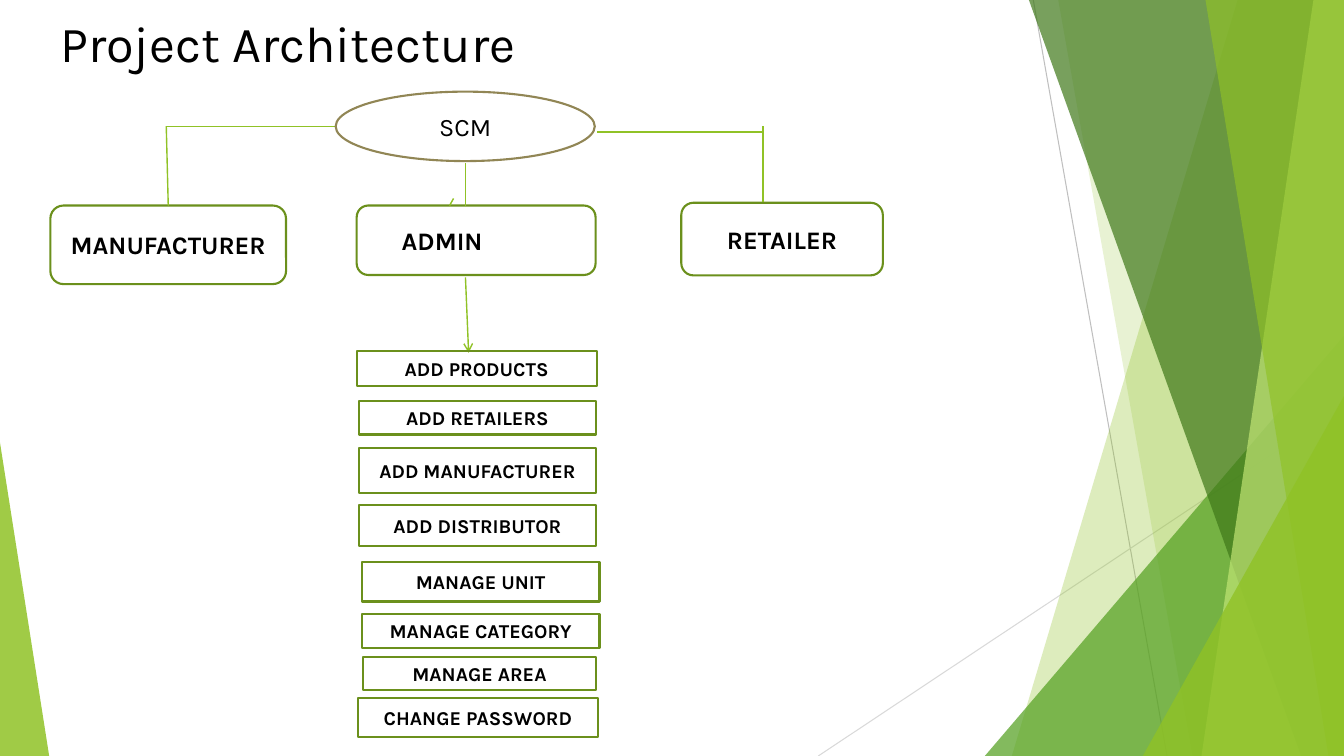
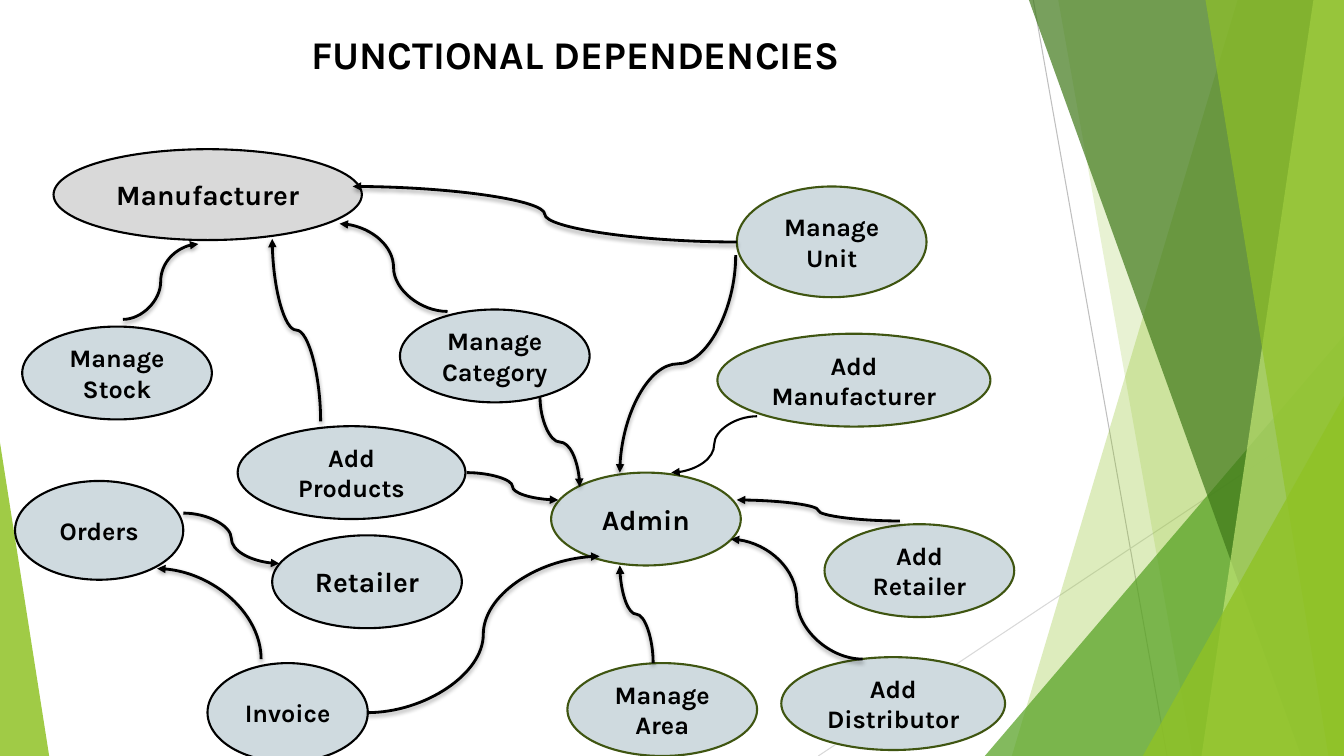
from lxml import etree
from pptx import Presentation
from pptx import util as u
from pptx.dml.color import RGBColor
from pptx.enum import shapes, text
from pptx.oxml.ns import qn

FONT = "Karla"
BLACK = RGBColor(0x00, 0x00, 0x00)
WHITE = RGBColor(0xFF, 0xFF, 0xFF)
GREY = RGBColor(0xD9, 0xD9, 0xD9)
MID_GREY = RGBColor(0xBF, 0xBF, 0xBF)
LIME = RGBColor(0x90, 0xC2, 0x26)
PALE_LIME = RGBColor(0xC0, 0xE4, 0x74)
GREEN = RGBColor(0x54, 0xA0, 0x21)
DARK_GREEN = RGBColor(0x3F, 0x78, 0x19)
OLIVE = RGBColor(0x6B, 0x90, 0x1C)
DARK_OLIVE = RGBColor(0x3F, 0x55, 0x11)
KHAKI = RGBColor(0x91, 0x86, 0x55)
BLUE_GREY = RGBColor(0xCF, 0xDA, 0xDF)

WIDTH, HEIGHT = 33.87, 19.05
SHAPE = shapes.MSO_SHAPE
CONNECTOR = shapes.MSO_CONNECTOR

# Slide 1, in cm: label, left, top, width, height
ADMIN_TASKS = [
    ("ADD PRODUCTS", 8.99, 8.84, 6.05, 0.89),
    ("ADD RETAILERS", 9.04, 10.11, 5.99, 0.84),
    ("ADD MANUFACTURER", 9.04, 11.3, 5.99, 1.12),
    ("ADD DISTRIBUTOR", 9.04, 12.73, 5.99, 1.02),
    ("MANAGE UNIT", 9.12, 14.17, 5.99, 0.99),
    ("MANAGE CATEGORY", 9.12, 15.47, 5.99, 0.86),
    ("MANAGE AREA", 9.14, 16.56, 5.89, 0.84),
    ("CHANGE PASSWORD", 9.02, 17.58, 6.05, 0.99),
]
TREE_LINES = [
    ((11.33, 5.18), (11.43, 5)),
    ((19.23, 3.18), (19.23, 5.08)),
    ((4.19, 3.18), (8.46, 3.18)),
    ((15.04, 3.33), (19.23, 3.33)),
    ((11.73, 4.11), (11.73, 5.18)),
]

# Slide 2, in cm: label, left, top, width, height, outline, text size
BUBBLES = [
    ("Add Distributor", 19.69, 16.56, 5.64, 2.34, DARK_OLIVE, 18),
    ("Manage Area", 14.3, 16.71, 4.78, 2.34, DARK_OLIVE, 18),
    ("Admin", 13.89, 11.91, 4.78, 2.34, DARK_OLIVE, 20),
    ("Manage Stock", 0.56, 8.23, 4.78, 2.34, BLACK, 18),
    ("Manage Unit", 18.57, 4.7, 4.78, 2.79, DARK_OLIVE, 18),
    ("Retailer", 6.86, 13.49, 4.78, 2.34, BLACK, 20),
    ("Add Retailer", 20.78, 13.21, 4.78, 2.34, DARK_OLIVE, 18),
    ("Add Manufacturer", 18.08, 8.41, 6.88, 2.34, DARK_OLIVE, 18),
    ("Manage Category", 10.08, 7.8, 4.78, 2.34, BLACK, 18),
    ("Add Products", 5.99, 10.74, 5.74, 2.34, BLACK, 18),
    ("Orders", 0.38, 12.12, 4.24, 2.49, BLACK, 18),
    ("Invoice", 5.23, 16.71, 4.04, 2.49, BLACK, 18),
]
SIDEWAYS_CURVES = [
    ((4.62, 12.93), (7.04, 14.2)),      # Orders to Retailer
    ((22.68, 13.13), (18.57, 12.6)),    # Add Retailer to Admin
    ((21.74, 16.61), (18.42, 13.59)),   # Add Distributor to Admin
    ((3.1, 8.05), (5, 6.15)),           # Manage Stock to Manufacturer
    ((11.28, 7.85), (8.56, 5.64)),      # Manage Category to Manufacturer
    ((18.57, 6.1), (8.89, 4.7)),        # Manage Unit to Manufacturer
    ((9.25, 17.96), (15.11, 14.02)),    # Invoice to Admin
    ((11.76, 11.91), (14.07, 12.6)),    # Add Products to Admin
]
UPRIGHT_CURVES = [
    ((16.46, 16.71), (15.62, 14.25)),   # Manage Area to Admin
    ((18.54, 6.43), (15.62, 11.91)),    # Manage Unit to Admin
    ((8.08, 10.62), (6.86, 6.02)),      # Add Products to Manufacturer
    ((13.61, 10.01), (14.61, 12.27)),   # Manage Category to Admin
]


def cm(*values):
    return [u.Cm(value) for value in values]


def set_text(shape, words, size, bold):
    para = shape.text_frame.paragraphs[0]
    para.text = words
    font = para.runs[0].font
    font.name, font.size, font.bold = FONT, u.Pt(size), bold
    font.color.rgb = BLACK
    return para


def add_title(slide, words, place, size, bold=False):
    box = slide.shapes.add_textbox(*cm(*place))
    box.text_frame.word_wrap = True
    set_text(box, words, size, bold)


def add_node(slide, kind, words, place, outline, size, fill=None, bold=True):
    node = slide.shapes.add_shape(kind, *cm(*place))
    node.shadow.inherit = False
    if fill is None:
        node.fill.background()
    else:
        node.fill.solid()
        node.fill.fore_color.rgb = fill
    node.line.color.rgb = outline
    node.line.width = u.Pt(1.5)
    para = set_text(node, words, size, bold)
    para.alignment = text.PP_ALIGN.CENTER
    return node


def add_line(slide, start, end, color, width, kind=CONNECTOR.STRAIGHT,
             arrow=None, shadow=False):
    line = slide.shapes.add_connector(kind, *cm(*start, *end))
    line.line.color.rgb = color
    line.line.width = u.Pt(width)
    if arrow:
        etree.SubElement(line.get_or_add_ln(), qn("a:tailEnd"), type=arrow)
    effects = etree.SubElement(line.element.spPr, qn("a:effectLst"))
    if shadow:
        outer = etree.SubElement(effects, qn("a:outerShdw"), blurRad="40000",
                                 dist="23000", dir="5400000", rotWithShape="0")
        shade = etree.SubElement(outer, qn("a:srgbClr"), val=str(BLACK))
        etree.SubElement(shade, qn("a:alpha"), val="35000")
    return line


def add_curve(slide, start, end, upright=False, width=2, shadow=True):
    """Curved arrow that leaves its start sideways, or upright by rotation."""
    turn = 0
    if upright:
        (x1, y1), (x2, y2) = start, end
        sign = 1 if y2 > y1 else -1
        turn = 90 if sign == 1 else 270
        mid_x, mid_y = (x1 + x2) / 2, (y1 + y2) / 2
        half_w, half_h = sign * (y2 - y1) / 2, sign * (x1 - x2) / 2
        start = (mid_x - half_w, mid_y - half_h)
        end = (mid_x + half_w, mid_y + half_h)
    curve = add_line(slide, start, end, BLACK, width, CONNECTOR.CURVE,
                     "triangle", shadow)
    curve.rotation = turn
    return curve


def paint(shape, color, opacity):
    shape.shadow.inherit = False
    shape.line.fill.background()
    shape.fill.solid()
    shape.fill.fore_color.rgb = color
    tint = shape.element.spPr.find(qn("a:solidFill"))[0]
    etree.SubElement(tint, qn("a:alpha"), val=str(opacity * 1000))


def add_band(slide, top_x, bottom_x, color, opacity):
    """Slanted band that reaches to the right edge of the slide."""
    builder = slide.shapes.build_freeform(*cm(top_x, 0))
    corners = [(WIDTH, 0), (WIDTH, HEIGHT), (bottom_x, HEIGHT)]
    builder.add_line_segments([cm(*corner) for corner in corners])
    paint(builder.convert_to_shape(), color, opacity)


def add_wedge(slide, left, top, width, peak, color, opacity):
    """Triangle that stands on the bottom edge of the slide."""
    wedge = slide.shapes.add_shape(SHAPE.ISOSCELES_TRIANGLE,
                                   *cm(left, top, width, HEIGHT - top))
    wedge.adjustments[0] = peak
    paint(wedge, color, opacity)


def draw_backdrop(slide):
    add_line(slide, (26.04, 0), (29.41, HEIGHT), MID_GREY, 0.75)
    add_line(slide, (WIDTH, 10.24), (20.62, HEIGHT), GREY, 0.75)
    add_band(slide, 31.19, 25.5, LIME, 30)
    add_band(slide, 26.67, 30.05, LIME, 20)
    add_wedge(slide, 24.82, 8.46, WIDTH - 24.82, 1, GREEN, 72)
    add_band(slide, 25.93, 32.79, DARK_GREEN, 70)
    add_band(slide, 33.1, 30.28, PALE_LIME, 70)
    add_band(slide, 30.38, 33.48, LIME, 65)
    add_wedge(slide, 28.8, 9.98, WIDTH - 28.8, 1, LIME, 80)
    add_wedge(slide, 0, 11.15, 1.24, 0, LIME, 85)


def move_to_layout(slide):
    """Hand the slide's shapes to its layout, so every slide shows them."""
    layout = slide.slide_layout
    for holder in list(layout.placeholders):
        layout.shapes.element.remove(holder.element)
    for shape in list(slide.shapes):
        layout.shapes.element.append(shape.element)


def build_architecture(slide):
    # Roles
    def add_role(words, *place):
        return add_node(slide, SHAPE.ROUNDED_RECTANGLE, words, place, OLIVE,
                        18, WHITE)

    admin = add_role("ADMIN", 8.99, 5.18, 6.02, 1.75)
    admin.text_frame.paragraphs[0].alignment = text.PP_ALIGN.LEFT
    admin.text_frame.margin_left = u.Cm(1.05)
    manufacturer = add_role("MANUFACTURER", 1.27, 5.18, 5.94, 1.98)
    add_role("RETAILER", 17.17, 5.11, 5.08, 1.83)

    # Tree lines
    drop = add_line(slide, (4.19, 3.18), (4.24, 5.18), LIME, 1)
    drop.end_connect(manufacturer, 0)
    for start, end in TREE_LINES:
        add_line(slide, start, end, LIME, 1)
    add_line(slide, (11.73, 6.99), (11.81, 8.89), LIME, 1, arrow="arrow")

    # Tasks of the admin
    for words, *place in ADMIN_TASKS:
        add_node(slide, SHAPE.RECTANGLE, words, place, OLIVE, 14)

    # Root and title
    add_node(slide, SHAPE.OVAL, "SCM", (8.46, 2.31, 6.53, 1.75), KHAKI, 18,
             WHITE, bold=False)
    add_title(slide, "Project Architecture", (1.27, 0.18, 16.94, 1.8), 36)


def build_dependencies(slide):
    # Bubbles
    add_node(slide, SHAPE.OVAL, "Manufacturer", (1.35, 3.76, 7.77, 2.29),
             BLACK, 20, GREY)
    for words, *place, outline, size in BUBBLES:
        add_node(slide, SHAPE.OVAL, words, place, outline, size, BLUE_GREY)

    # Arrows
    for start, end in SIDEWAYS_CURVES:
        add_curve(slide, start, end)
    for start, end in UPRIGHT_CURVES:
        add_curve(slide, start, end, upright=True)
    # Add Manufacturer to Admin
    add_curve(slide, (19.08, 10.49), (16.92, 11.91), width=1.5, shadow=False)
    # Invoice to Orders, a single bend
    bend = add_curve(slide, (6.58, 16.61), (3.96, 14.33), upright=True)
    bend.element.spPr.find(qn("a:prstGeom")).set("prst", "curvedConnector2")

    add_title(slide, "FUNCTIONAL DEPENDENCIES", (7.59, 0.64, 18.69, 1.45), 28,
              bold=True)


def main():
    deck = Presentation()
    deck.slide_width, deck.slide_height = cm(WIDTH, HEIGHT)
    blank = deck.slide_layouts[6]
    page = deck.slides.add_slide(blank)
    draw_backdrop(page)
    move_to_layout(page)
    build_architecture(page)
    build_dependencies(deck.slides.add_slide(blank))
    deck.save("out.pptx")


if __name__ == "__main__":
    main()
